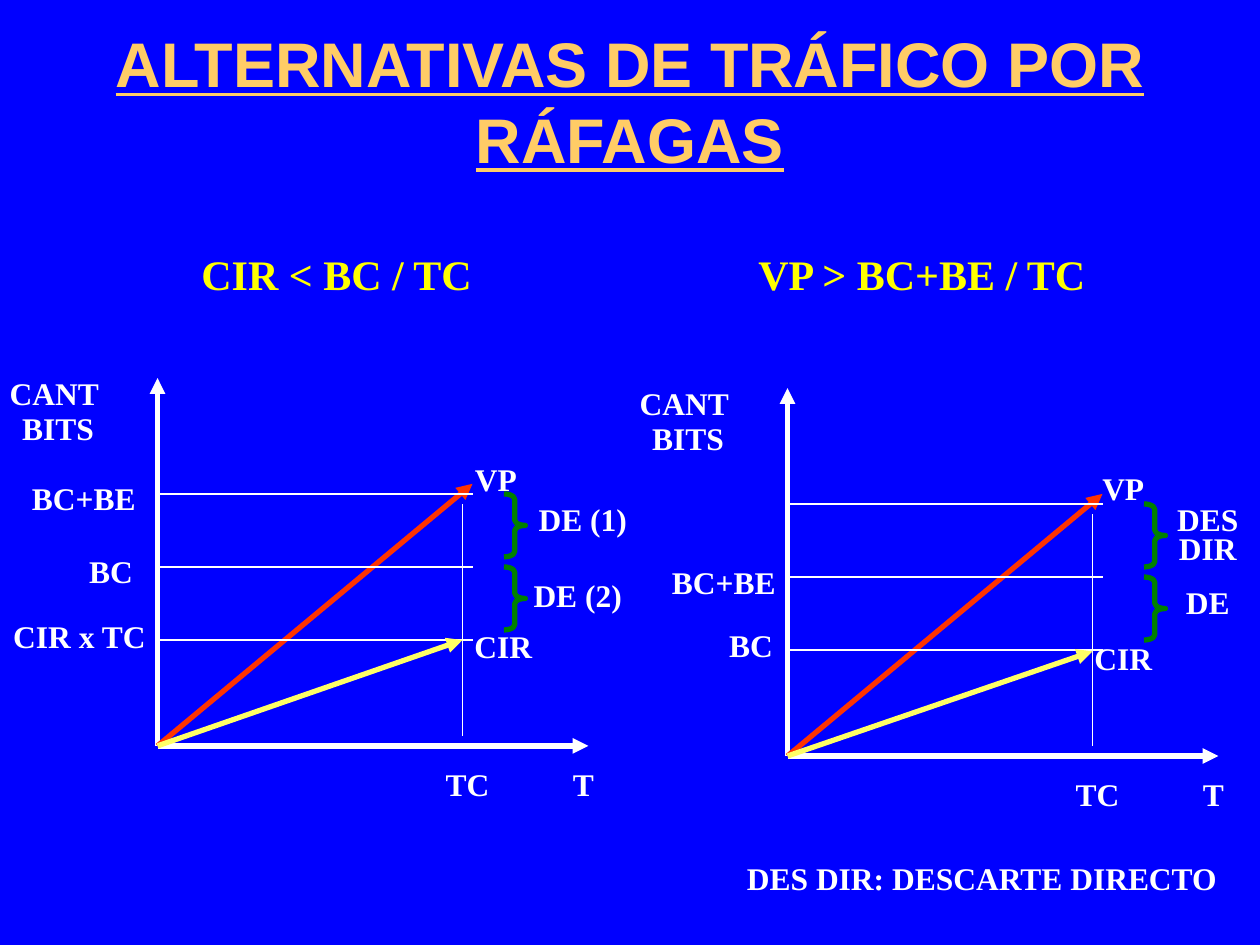
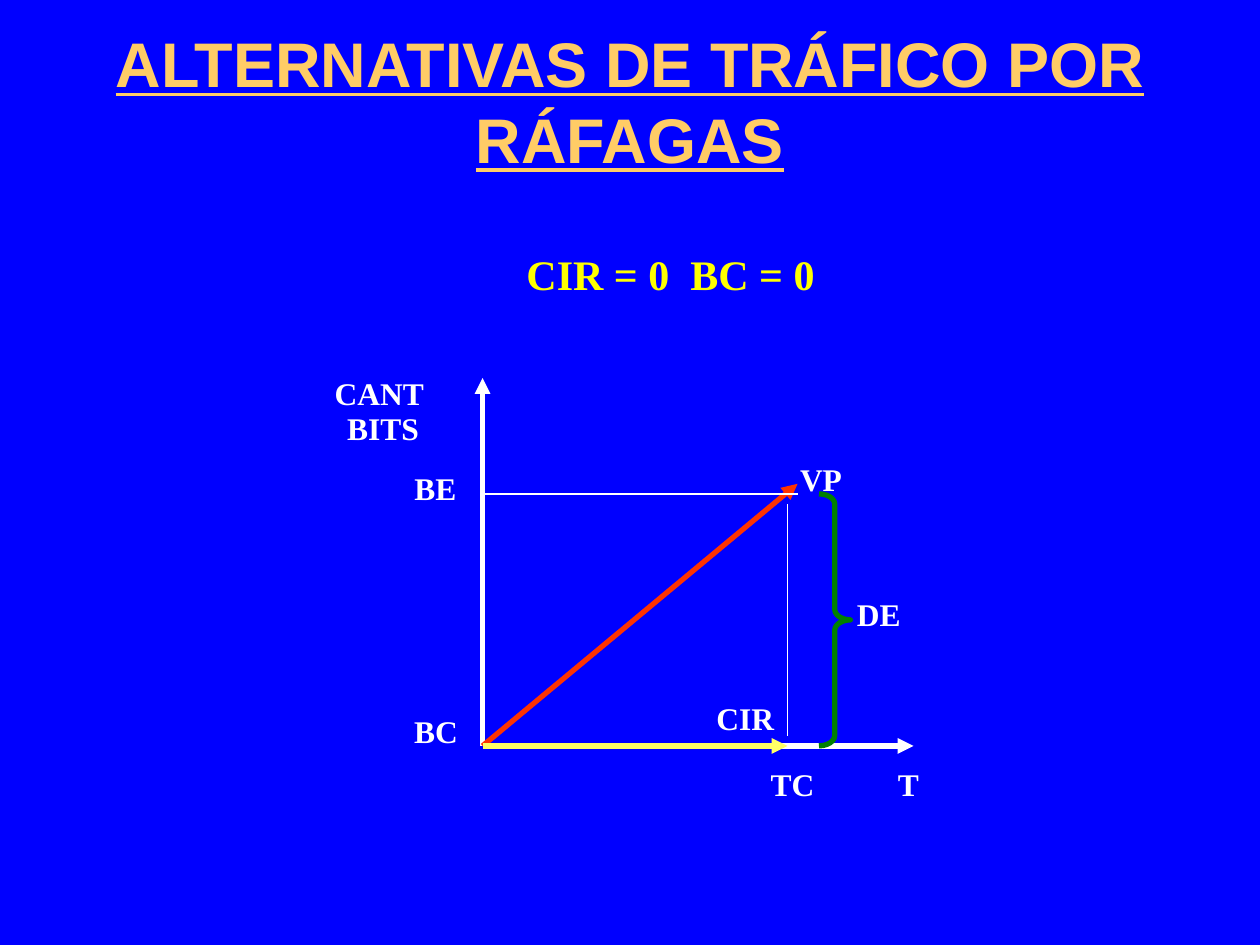
"""Build two slides of burst traffic diagrams (bits against time)."""
from lxml.etree import SubElement
from pptx import Presentation
from pptx.dml.color import RGBColor
from pptx.enum.shapes import MSO_CONNECTOR, MSO_SHAPE
from pptx.enum.text import MSO_ANCHOR, MSO_AUTO_SIZE, PP_ALIGN
from pptx.oxml.ns import qn
from pptx.util import Inches, Pt

COLORS = {
    "background": "0000FF",
    "title": "FFCC66",
    "condition": "FFFF00",
    "white": "FFFFFF",
    "vp": "FF3300",
    "cir": "FFFF66",
    "brace": "008000",
}
FORMATS = {
    "title": {"name": "Arial", "size": Pt(36), "bold": True, "underline": True},
    "condition": {"name": "Times New Roman", "size": Pt(24), "bold": True},
    "white": {"name": "Times New Roman", "size": Pt(18), "bold": True},
}
TITLE = "ALTERNATIVAS DE TRÁFICO POR RÁFAGAS"
LABEL_HEIGHT = 0.4
LEVELS = {"high": 2, "middle": 1.42, "low": 0.84}
AXIS_LABELS = [
    ("TC", 2, 0.1, 0.92),
    ("T", 2.92, 0.1, 0.92),
    ("CANT \nBITS", -1.75, -3, 1.92),
]

SLIDES = [
    {
        "notes": [
            ("CIR < BC / TC", 1.5, 1.92, 2.5, "condition"),
            ("VP > BC+BE / TC", 5.92, 1.92, 2.92, "condition"),
            ("DES DIR: DESCARTE DIRECTO", 5.83, 6.77, 4, "white"),
        ],
        "diagrams": [
            {
                "origin": (1.25, 5.92),
                "levels": ["high", "middle", "low"],
                "cir_rise": 0.84,
                "labels": [
                    ("VP ", 2.25, -2.32, 0.92),
                    ("CIR", 2.33, -0.99, 0.83),
                    ("BC+BE", -1.25, -2.17, 1.33),
                    ("BC", -0.83, -1.59, 0.92),
                    ("CIR x TC", -1.33, -1.07, 1.42),
                    ("DE (1)", 2.75, -2, 1.25),
                    ("DE (2)", 2.75, -1.4, 1.17),
                ],
                "braces": [(2.75, -2, 0.17, 0.5, 0.25), (2.75, -1.42, 0.17, 0.5, 0.25)],
            },
            {
                "origin": (6.25, 6),
                "levels": ["high", "middle", "low"],
                "cir_rise": 0.83,
                "labels": [
                    ("VP", 2.25, -2.33, 0.83),
                    ("CIR", 2.25, -0.98, 0.83),
                    ("BC+BE", -1.17, -1.58, 1.33),
                    ("BC", -0.75, -1.08, 0.92),
                    ("DES\nDIR", 2.92, -2.08, 0.83),
                    ("DE", 2.92, -1.42, 0.83),
                ],
                "braces": [(2.83, -2, 0.17, 0.5, 0.25), (2.83, -1.42, 0.17, 0.5, 0.25)],
            },
        ],
    },
    {
        "notes": [("CIR = 0  BC = 0", 4.08, 1.92, 2.5, "condition")],
        "diagrams": [
            {
                "origin": (3.83, 5.92),
                "levels": ["high"],
                "cir_rise": 0,
                "labels": [
                    ("VP ", 2.25, -2.32, 0.92),
                    ("CIR", 1.67, -0.42, 0.83),
                    ("BE", -0.75, -2.25, 0.75),
                    ("BC", -0.83, -0.32, 0.92),
                    ("DE ", 2.84, -1.25, 0.67),
                ],
                "braces": [(2.67, -2, 0.25, 2, 0.33)],
            },
        ],
    },
]
SECOND_LINE_SPACING = {"CANT \nBITS": 0.3, "DES\nDIR": 0.1}


def add_text(slide, text, left, top, width, style, alignment):
    """Add a text box, one paragraph for each line of text."""
    lines = text.split("\n")
    height = {1: LABEL_HEIGHT, 2: 0.62}[len(lines)]
    shape = slide.shapes.add_textbox(Inches(left), Inches(top), Inches(width), Inches(height))
    frame = shape.text_frame
    frame.word_wrap = True
    frame.auto_size = MSO_AUTO_SIZE.SHAPE_TO_FIT_TEXT
    frame.text = text
    for index, paragraph in enumerate(frame.paragraphs):
        paragraph.alignment = alignment
        if index:
            paragraph.space_before = Pt(11.2)
            paragraph.line_spacing = SECOND_LINE_SPACING[text]
        for name, value in FORMATS[style].items():
            setattr(paragraph.font, name, value)
        paragraph.font.color.rgb = RGBColor.from_string(COLORS[style])


def add_line(slide, origin, start, end, color, width, arrow):
    """Add a line between two offsets from the origin of a diagram."""
    points = [Inches(base + offset) for point in (start, end) for base, offset in zip(origin, point)]
    connector = slide.shapes.add_connector(MSO_CONNECTOR.STRAIGHT, *points)
    connector.line.color.rgb = RGBColor.from_string(COLORS[color])
    connector.line.width = Pt(width)
    if arrow:
        SubElement(connector.line._get_or_add_ln(), qn("a:tailEnd"), type="triangle")
    SubElement(connector._element.spPr, qn("a:effectLst"))


presentation = Presentation()
presentation.slide_width = Inches(10)
presentation.slide_height = Inches(7.5)
background = presentation.slide_master.background.fill
background.solid()
background.fore_color.rgb = RGBColor.from_string(COLORS["background"])

for content in SLIDES:
    slide = presentation.slides.add_slide(presentation.slide_layouts.get_by_name("Title Only"))
    title = slide.shapes.title
    title.left, title.top, title.width, title.height = [Inches(n) for n in (0, 0.17, 10, 1.25)]
    title.text_frame.text = TITLE
    title.text_frame.word_wrap = True
    title.text_frame.auto_size = MSO_AUTO_SIZE.NONE
    title.text_frame.vertical_anchor = MSO_ANCHOR.MIDDLE
    paragraph = title.text_frame.paragraphs[0]
    paragraph.alignment = PP_ALIGN.CENTER
    for name, value in FORMATS["title"].items():
        setattr(paragraph.font, name, value)
    paragraph.font.color.rgb = RGBColor.from_string(COLORS["title"])

    for text, left, top, width, style in content["notes"]:
        add_text(slide, text, left, top, width, style, PP_ALIGN.LEFT)

    for diagram in content["diagrams"]:
        origin = diagram["origin"]
        x, y = origin
        add_line(slide, origin, (0, 0), (0, -2.92), "white", 3, True)
        add_line(slide, origin, (0, 0), (3.42, 0), "white", 3, True)
        add_line(slide, origin, (0, 0), (2.5, -2.08), "vp", 3, True)
        add_line(slide, origin, (2.42, -0.08), (2.42, -1.92), "white", 0.75, False)
        for level in diagram["levels"]:
            rise = LEVELS[level]
            add_line(slide, origin, (0, -rise), (2.5, -rise), "white", 0.75, False)
        add_line(slide, origin, (0, 0), (2.42, -diagram["cir_rise"]), "cir", 3, True)

        for text, left, top, width in AXIS_LABELS + diagram["labels"]:
            add_text(slide, text, x + left, y + top, width, "white", PP_ALIGN.CENTER)

        for left, top, width, height, curve in diagram["braces"]:
            brace = slide.shapes.add_shape(
                MSO_SHAPE.RIGHT_BRACE, Inches(x + left), Inches(y + top), Inches(width), Inches(height)
            )
            brace.adjustments[0] = curve
            brace.shadow.inherit = False
            brace.fill.background()
            brace.line.color.rgb = RGBColor.from_string(COLORS["brace"])
            brace.line.width = Pt(3)

presentation.save("out.pptx")
